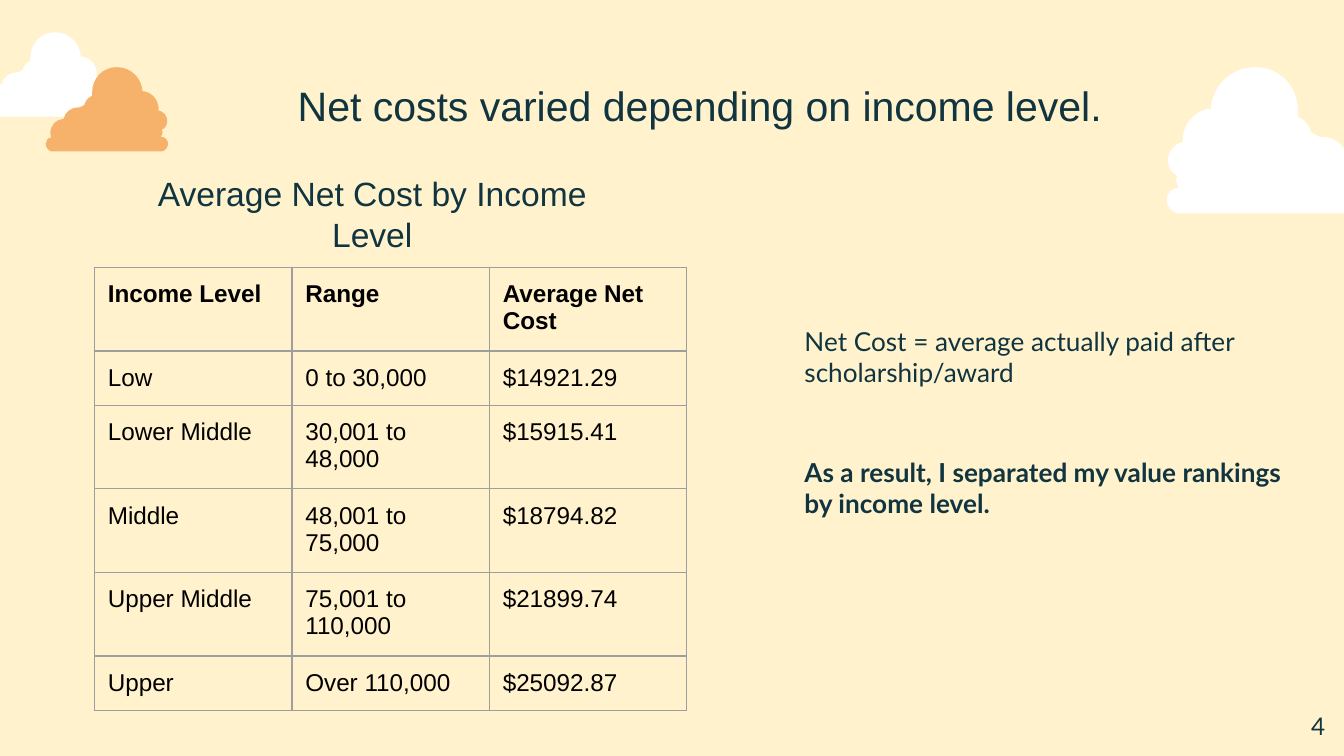
import pptx
import pptx.dml.color
import pptx.enum.text
import pptx.oxml
import pptx.oxml.ns
import pptx.util

Pt = pptx.util.Pt
Align = pptx.enum.text.PP_ALIGN
Anchor = pptx.enum.text.MSO_ANCHOR

INK = "103440"
INSET = 7.2
UNITS_PER_POINT = 100

CLOUD_WIDTH = 158
CLOUD_START = (66, 0)
CLOUD_SEGMENTS = [
    (84, 0, 98, 14, 98, 33), (98, 34, 98, 36, 98, 37),
    (103, 39, 107, 44, 108, 49), (110, 50, 112, 51, 114, 52),
    (115, 52, 115, 52, 116, 52), (125, 52, 133, 58, 135, 67),
    (144, 67, 152, 75, 152, 85), (152, 87, 152, 89, 151, 91),
    (155, 91, 158, 95, 158, 99), (158, 104, 154, 109, 149, 109),
    (9, 109), (4, 109, 0, 104, 0, 99),
    (0, 94, 4, 90, 9, 90), (9, 90), (8, 88, 7, 86, 7, 84),
    (7, 83, 8, 82, 8, 81), (3, 79, 1, 74, 1, 69),
    (1, 63, 6, 57, 12, 56), (12, 56, 12, 55, 12, 55),
    (12, 42, 21, 32, 33, 31), (34, 14, 48, 0, 66, 0),
]

INCOME_ROWS = [
    ("Income Level", "Range", "Average Net Cost"),
    ("Low", "0 to 30,000", "$14921.29"),
    ("Lower Middle", "30,001 to 48,000", "$15915.41"),
    ("Middle", "48,001 to 75,000", "$18794.82"),
    ("Upper Middle", "75,001 to 110,000", "$21899.74"),
    ("Upper", "Over 110,000", "$25092.87"),
]
ROW_HEIGHTS = [44.8, 29.1, 44.8, 44.8, 44.8, 29.1]
COLUMN_WIDTH = 105.8


def color(value):
    return pptx.dml.color.RGBColor.from_string(value)


def add_span(para, text, size, font, ink=INK, bold=False):
    span = para.add_run()
    span.text = text
    span.font.size = Pt(size)
    span.font.name = font
    span.font.bold = bold
    span.font.color.rgb = color(ink)


def place(box, left, top, width, height, anchor=Anchor.TOP):
    box.left, box.top = Pt(left), Pt(top)
    box.width, box.height = Pt(width), Pt(height)
    frame = box.text_frame
    frame.word_wrap = True
    frame.auto_size = pptx.enum.text.MSO_AUTO_SIZE.NONE
    frame.vertical_anchor = anchor
    frame.margin_left = frame.margin_right = Pt(INSET)
    frame.margin_top = frame.margin_bottom = Pt(INSET)
    return frame


def add_text(page, left, top, width, height, anchor=Anchor.TOP):
    box = page.shapes.add_textbox(0, 0, 0, 0)
    return place(box, left, top, width, height, anchor)


def bend_segments(cloud):
    lines = iter(cloud._element.findall(".//" + pptx.oxml.ns.qn("a:lnTo")))
    for segment in CLOUD_SEGMENTS:
        line = next(lines)
        if len(segment) == 2:
            continue
        curve = pptx.oxml.parse_xml(f'<a:cubicBezTo {pptx.oxml.ns.nsdecls("a")}/>')
        line.addprevious(curve)
        for part in (line, next(lines), next(lines)):
            curve.append(part[0])
            part.getparent().remove(part)


def add_cloud(page, left, top, width, fill, mirrored=False):
    outline = [CLOUD_START]
    for segment in CLOUD_SEGMENTS:
        outline.extend(zip(segment[::2], segment[1::2]))
    ratio = width / CLOUD_WIDTH
    points = [
        (
            (left + (CLOUD_WIDTH - x if mirrored else x) * ratio) * UNITS_PER_POINT,
            (top + y * ratio) * UNITS_PER_POINT,
        )
        for x, y in outline
    ]
    builder = page.shapes.build_freeform(*points[0], scale=Pt(1) / UNITS_PER_POINT)
    builder.add_line_segments(points[1:], close=True)
    cloud = builder.convert_to_shape()
    bend_segments(cloud)
    cloud.shadow.inherit = False
    cloud.fill.solid()
    cloud.fill.fore_color.rgb = color(fill)
    cloud.line.fill.background()


def add_borders(cell, ink, width):
    properties = cell._tc.get_or_add_tcPr()
    for side in ("lnL", "lnR", "lnT", "lnB"):
        properties.append(pptx.oxml.parse_xml(
            f'<a:{side} {pptx.oxml.ns.nsdecls("a")} w="{Pt(width)}">'
            f'<a:solidFill><a:srgbClr val="{ink}"/></a:solidFill></a:{side}>'
        ))


def add_income_table(page, left, top):
    columns = len(INCOME_ROWS[0])
    table = page.shapes.add_table(
        len(INCOME_ROWS), columns, Pt(left), Pt(top),
        Pt(COLUMN_WIDTH * columns), Pt(sum(ROW_HEIGHTS)),
    ).table
    table.first_row = table.horz_banding = False
    for column in table.columns:
        column.width = Pt(COLUMN_WIDTH)
    for row_index, texts in enumerate(INCOME_ROWS):
        table.rows[row_index].height = Pt(ROW_HEIGHTS[row_index])
        for column_index, text in enumerate(texts):
            cell = table.cell(row_index, column_index)
            cell.margin_left = cell.margin_right = Pt(INSET)
            cell.margin_top = cell.margin_bottom = Pt(INSET)
            add_span(cell.text_frame.paragraphs[0], text, 13, "Arial",
                     "000000", bold=row_index == 0)
            add_borders(cell, "9E9E9E", 0.75)
            cell.fill.background()


def add_titles(page):
    para = place(page.shapes.title, 24.5, 36, 671, 45).paragraphs[0]
    para.alignment = Align.CENTER
    properties = para._p.get_or_add_pPr()
    properties.set("marL", str(Pt(36)))
    properties.set("indent", "0")
    add_span(para, "Net costs varied depending on income level. ", 22, "Arial")

    para = add_text(page, 68.4, 98, 262, 45.3, Anchor.BOTTOM).paragraphs[0]
    para.alignment = Align.CENTER
    add_span(para, "Average Net Cost by Income Level", 18, "Arial")


def add_explanation(page):
    frame = add_text(page, 423.9, 167, 271.5, 193)
    add_span(frame.paragraphs[0],
             "Net Cost = average actually paid after scholarship/award", 14, "Lato")
    para = frame.add_paragraph()
    para.space_before = Pt(36.7)
    para.space_after = Pt(10)
    add_span(para, "As a result, I separated my value rankings by income level.",
             14, "Lato", bold=True)


def add_page_number(page):
    para = add_text(page, 674, 373.7, 43, 31).paragraphs[0]
    para.alignment = Align.RIGHT
    add_span(para, "4", 13, "Lato")


def main():
    deck = pptx.Presentation()
    deck.slide_width, deck.slide_height = Pt(720), Pt(405)
    page = deck.slides.add_slide(deck.slide_layouts.get_by_name("Title Only"))
    page.background.fill.solid()
    page.background.fill.fore_color.rgb = color("FFF2CC")
    add_cloud(page, -8.6, 17.3, 65.5, "FFFFFF", mirrored=True)
    add_cloud(page, 625, 36, 113.5, "FFFFFF")
    add_cloud(page, 24.5, 36, 65.5, "F6B26B", mirrored=True)
    add_titles(page)
    add_income_table(page, 50.6, 143.2)
    add_explanation(page)
    add_page_number(page)
    deck.save("out.pptx")


if __name__ == "__main__":
    main()
